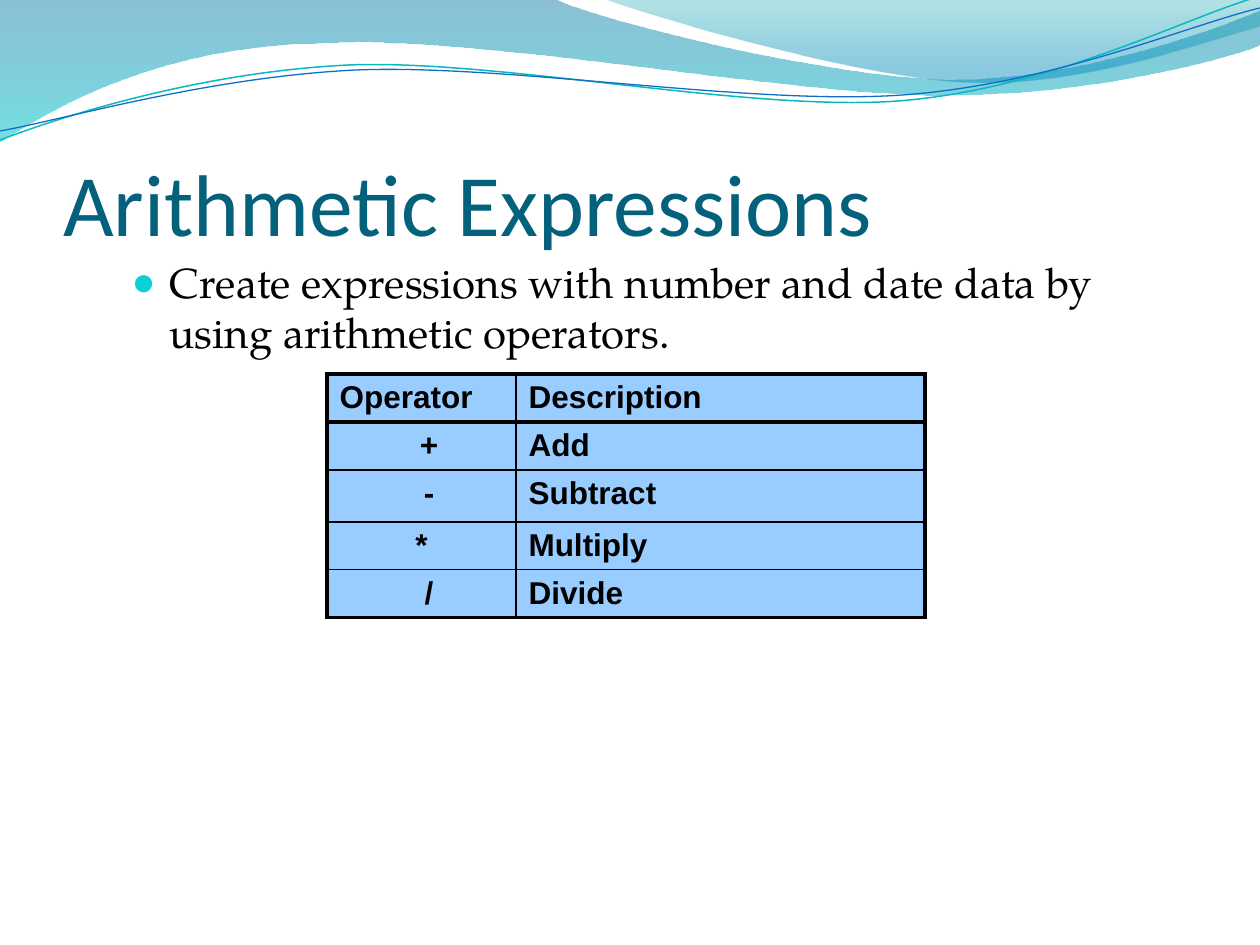
from dataclasses import dataclass

import pptx
import pptx.dml.color
import pptx.enum.text
import pptx.oxml
import pptx.oxml.ns
import pptx.util

EMU_PER_PIXEL = 914400 / 126
ALIGN = pptx.enum.text.PP_ALIGN
ANCHOR = pptx.enum.text.MSO_ANCHOR
Point = tuple[float, float]


@dataclass(frozen=True)
class Theme:
    title_font: str = "Calibri"
    body_font: str = "TeX Gyre Pagella"
    table_font: str = "Arial"
    title_size: float = 50
    body_size: float = 24
    table_size: float = 18
    title_color: str = "04617B"
    text_color: str = "000000"
    bullet_color: str = "0BD0D9"
    cell_color: str = "99CCFF"
    border_color: str = "000000"
    outer_border: float = 2.25
    inner_border: float = 1


@dataclass(frozen=True)
class Stop:
    position: float
    color: str
    opacity: int


@dataclass(frozen=True)
class Wave:
    """Each segment holds one point (straight) or three (cubic curve)."""
    start: Point
    segments: list[list[Point]]
    stops: tuple[Stop, ...] = ()
    line_color: str = ""
    line_width: float = 0


@dataclass(frozen=True)
class Operation:
    operator: str
    description: str
    indented: bool = True


THEME = Theme()

WAVES = [
    Wave((0, 0), [
        [(554, -1)],
        [(600, 21), (837, 79), (955, 79)],
        [(1075, 79), (1207, 33), (1260, 11)],
        [(1261, 45)],
        [(1239, 55), (1096, 96), (940, 95)],
        [(784, 95), (481, 35), (324, 43)],
        [(163, 45), (58, 105), (-1, 142)],
    ], stops=(Stop(0, "0074A1", 45), Stop(1, "00C6CF", 55))),
    Wave((604, -1), [
        [(641, 14), (859, 78), (969, 82)],
        [(1079, 87), (1211, 40), (1260, 26)],
        [(1260, 0)],
    ], stops=(Stop(0, "00A1A9", 30), Stop(0.8, "008BBF", 45))),
    Wave((0, 140), [
        [(60, 117), (199, 72), (349, 65)],
        [(498, 59), (747, 112), (898, 101)],
        [(1050, 89), (1182, 19), (1257, -3)],
    ], line_color="0AB8BF", line_width=0.85),
    Wave((0, 131), [
        [(59, 121), (207, 77), (357, 70)],
        [(508, 64), (752, 106), (903, 95)],
        [(1053, 84), (1186, 26), (1260, 8)],
    ], line_color="0F6FC6", line_width=0.75),
]

OPERATIONS = [
    Operation("+", "Add"),
    Operation("-", "Subtract"),
    Operation("*", "Multiply", indented=False),
    Operation("/", "Divide"),
]
COLUMN_WIDTHS = [189, 409]
ROW_HEIGHTS = [43, 45, 52, 43, 45]


def px(length: float) -> pptx.util.Emu:
    return pptx.util.Emu(round(length * EMU_PER_PIXEL))


def rgb(color: str) -> pptx.dml.color.RGBColor:
    return pptx.dml.color.RGBColor.from_string(color)


def xml(tag: str, attributes: str, content: str = ""):
    namespace = pptx.oxml.ns.nsdecls("a")
    return pptx.oxml.parse_xml(f"<a:{tag} {namespace} {attributes}>{content}</a:{tag}>")


def solid(color: str) -> str:
    return f'<a:solidFill><a:srgbClr val="{color}"/></a:solidFill>'


def place(shape, left: int, top: int, width: int, height: int) -> None:
    shape.left, shape.top = px(left), px(top)
    shape.width, shape.height = px(width), px(height)


def add_run(paragraph, text: str, font: str, size: float, color: str, bold: bool = False) -> None:
    run = paragraph.add_run()
    run.text = text
    run.font.name, run.font.size, run.font.bold = font, pptx.util.Pt(size), bold
    run.font.color.rgb = rgb(color)


def bend(shape, segments: list[list[Point]]) -> None:
    """Turn the straight segments that have control points into cubic curves."""
    straights = list(shape.element.iter(pptx.oxml.ns.qn("a:lnTo")))
    for straight, segment in zip(straights, segments):
        if len(segment) == 3:
            points = "".join(f'<a:pt x="{px(x) - shape.left}" y="{px(y) - shape.top}"/>'
                             for x, y in segment)
            straight.getparent().replace(straight, xml("cubicBezTo", "", points))


def draw_wave(slide, wave: Wave) -> None:
    builder = slide.shapes.build_freeform(*map(px, wave.start))
    builder.add_line_segments([tuple(map(px, segment[-1])) for segment in wave.segments],
                              close=bool(wave.stops))
    shape = builder.convert_to_shape()
    bend(shape, wave.segments)
    shape.shadow.inherit = False
    if wave.stops:
        shape.line.fill.background()
        shape.fill.gradient()
        shape.fill.gradient_angle = 270
        for target, stop in zip(shape.fill.gradient_stops, wave.stops):
            target.position = stop.position
            target.color.rgb = rgb(stop.color)
        for color, stop in zip(shape.element.spPr.iter(pptx.oxml.ns.qn("a:srgbClr")), wave.stops):
            color.append(xml("alpha", f'val="{stop.opacity * 1000}"'))
    else:
        shape.fill.background()
        shape.line.color.rgb = rgb(wave.line_color)
        shape.line.width = pptx.util.Pt(wave.line_width)
    # Waves lie behind the text
    slide.shapes.title.element.addprevious(shape.element)


def fill_cell(table, row: int, column: int, operation: Operation) -> None:
    cell = table.cell(row, column)
    cell.fill.solid()
    cell.fill.fore_color.rgb = rgb(THEME.cell_color)
    paragraph = cell.text_frame.paragraphs[0]
    if row and column == 0:
        paragraph.alignment = ALIGN.CENTER
        if operation.indented:
            paragraph.level = 1
            paragraph._p.get_or_add_pPr().set("marL", str(px(15)))
    text = operation.description if column else operation.operator
    add_run(paragraph, text, THEME.table_font, THEME.table_size, THEME.text_color, bold=True)
    # Heavy rules run round the table and under its header
    heavy = {"lnL": column == 0, "lnR": column == len(COLUMN_WIDTHS) - 1,
             "lnT": row <= 1, "lnB": row in (0, len(ROW_HEIGHTS) - 1)}
    for position, (side, is_heavy) in enumerate(heavy.items()):
        width = pptx.util.Pt(THEME.outer_border if is_heavy else THEME.inner_border)
        cell._tc.get_or_add_tcPr().insert(
            position, xml(side, f'w="{width}"', solid(THEME.border_color)))


presentation = pptx.Presentation()
presentation.slide_width, presentation.slide_height = px(1260), px(945)
slide = presentation.slides.add_slide(presentation.slide_layouts[1])

# Wave banner
for wave in WAVES:
    draw_wave(slide, wave)

# Title
heading = slide.shapes.title
place(heading, 63, 97, 1134, 157)
frame = heading.text_frame
frame.auto_size = pptx.enum.text.MSO_AUTO_SIZE.NONE
frame.vertical_anchor = ANCHOR.BOTTOM
frame.margin_left = frame.margin_right = frame.margin_bottom = 0
frame.margin_top = px(6)
frame.paragraphs[0].alignment = ALIGN.LEFT
add_run(frame.paragraphs[0], "Arithmetic Expressions",
        THEME.title_font, THEME.title_size, THEME.title_color)

# Bulleted statement
statement = slide.placeholders[1]
place(statement, 119, 250, 1016, 96)
statement.text_frame.auto_size = pptx.enum.text.MSO_AUTO_SIZE.NONE
bullet = statement.text_frame.paragraphs[0]
bullet_format = bullet._p.get_or_add_pPr()
bullet_format.set("marL", str(px(38)))
bullet_format.set("indent", str(px(-38)))
bullet_format.append(xml("buClr", "", f'<a:srgbClr val="{THEME.bullet_color}"/>'))
bullet_format.append(xml("buSzPct", 'val="95000"'))
bullet_format.append(xml("buChar", 'char="●"'))
add_run(bullet, "Create expressions with number and date data by using arithmetic operators.",
        THEME.body_font, THEME.body_size, THEME.text_color)

# Operator table
operators = slide.shapes.add_table(
    len(ROW_HEIGHTS), len(COLUMN_WIDTHS), px(327), px(374),
    px(sum(COLUMN_WIDTHS)), px(sum(ROW_HEIGHTS))).table
operators.first_row = operators.horz_banding = False
for column, width in enumerate(COLUMN_WIDTHS):
    operators.columns[column].width = px(width)
for row, operation in enumerate([Operation("Operator", "Description"), *OPERATIONS]):
    operators.rows[row].height = px(ROW_HEIGHTS[row])
    for column in range(len(COLUMN_WIDTHS)):
        fill_cell(operators, row, column, operation)

presentation.save("out.pptx")
